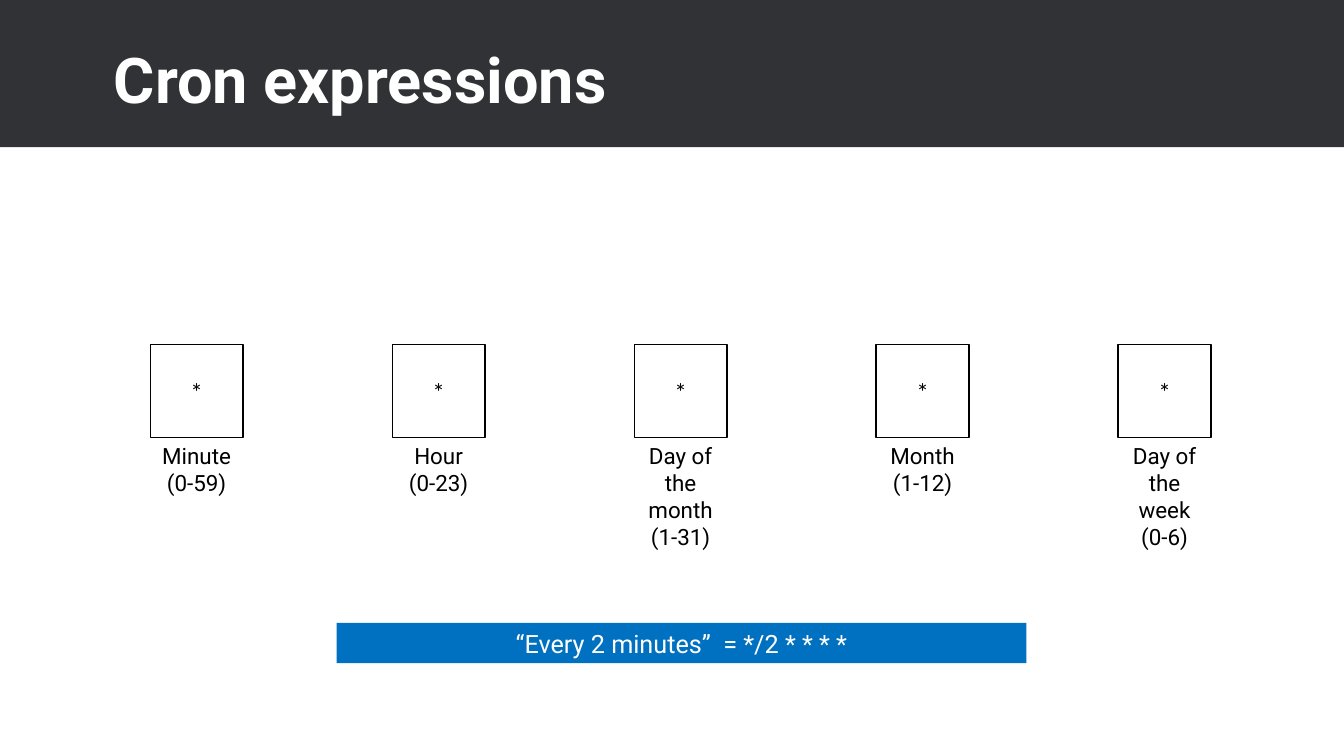
from dataclasses import dataclass

from pptx import Presentation
from pptx.dml.color import RGBColor
from pptx.enum.shapes import MSO_SHAPE as Preset
from pptx.enum.text import MSO_ANCHOR as Anchor, MSO_AUTO_SIZE as AutoSize, PP_ALIGN as Align
from pptx.util import Inches, Pt

BLACK = RGBColor(0x00, 0x00, 0x00)
WHITE = RGBColor(0xFF, 0xFF, 0xFF)
CHARCOAL = RGBColor(0x31, 0x32, 0x35)
BLUE = RGBColor(0x00, 0x70, 0xC0)

FIRST_LEFT, FIELD_STEP, FIELD_SIZE = 1.49, 2.4, 0.92
FIELD_TOP = 3.42
LABEL_TOP = FIELD_TOP + FIELD_SIZE


@dataclass(frozen=True)
class CronField:
    lines: tuple[str, ...]
    label_height: float


@dataclass(frozen=True)
class TextFormat:
    size: float
    color: RGBColor
    name: str = "Roboto"
    bold: bool = False
    align: Align = Align.CENTER
    anchor: Anchor = Anchor.TOP


FIELDS = (
    CronField(("Minute", "(0-59)"), 0.64),
    CronField(("Hour", "(0-23)"), 0.64),
    CronField(("Day of the month (1-31)",), 1.18),
    CronField(("Month (1-12)",), 0.64),
    CronField(("Day of the week (0-6)",), 1.18),
)
TITLE = TextFormat(45, WHITE, bold=True, align=Align.LEFT, anchor=Anchor.MIDDLE)
STAR = TextFormat(18, BLACK, name="Calibri", anchor=Anchor.MIDDLE)
LABEL = TextFormat(16, BLACK)
EXAMPLE = TextFormat(18, WHITE)


def write(shape, lines: tuple[str, ...], style: TextFormat) -> None:
    frame = shape.text_frame
    frame_values = {"word_wrap": True, "auto_size": AutoSize.NONE,
                    "vertical_anchor": style.anchor}
    for key, value in frame_values.items():
        setattr(frame, key, value)
    font_values = {"size": Pt(style.size), "name": style.name, "bold": style.bold}
    for index, line in enumerate(lines):
        para = frame.add_paragraph() if index else frame.paragraphs[0]
        para.alignment = style.align
        span = para.add_run()
        span.text = line
        for key, value in font_values.items():
            setattr(span.font, key, value)
        span.font.color.rgb = style.color


def add_box(page, left: float, top: float, width: float, height: float,
            fill: RGBColor | None = None, line: RGBColor | None = None):
    box = page.shapes.add_shape(
        Preset.RECTANGLE, Inches(left), Inches(top), Inches(width), Inches(height))
    box.shadow.inherit = False
    if fill is None:
        box.fill.background()
    else:
        box.fill.solid()
        box.fill.fore_color.rgb = fill
    if line is None:
        box.line.fill.background()
    else:
        box.line.color.rgb = line
        box.line.width = Pt(1)
    return box


def add_field(page, left: float, field: CronField) -> None:
    square = add_box(page, left, FIELD_TOP, FIELD_SIZE, FIELD_SIZE, line=BLACK)
    write(square, ("*",), STAR)
    label = page.shapes.add_textbox(
        Inches(left), Inches(LABEL_TOP), Inches(FIELD_SIZE), Inches(field.label_height))
    write(label, field.lines, LABEL)


def main() -> None:
    deck = Presentation()
    deck.slide_width, deck.slide_height = Inches(13.33), Inches(7.5)
    page = deck.slides.add_slide(deck.slide_layouts[5])

    # Header band behind the title
    title = page.shapes.title
    band = add_box(page, 0, 0, 13.33, 1.46, fill=CHARCOAL)
    title.element.addprevious(band.element)
    place = {"left": 1.03, "top": 0.1, "width": 11.28, "height": 1.45}
    for key, value in place.items():
        setattr(title, key, Inches(value))
    write(title, ("Cron expressions",), TITLE)
    title.text_frame.paragraphs[0].line_spacing = 0.9

    # Five cron fields with their ranges
    for index, field in enumerate(FIELDS):
        add_field(page, FIRST_LEFT + index * FIELD_STEP, field)

    # Worked example
    example = add_box(page, 3.34, 6.18, 6.84, 0.4, fill=BLUE)
    write(example, ("“Every 2 minutes”  = */2 * * * *",), EXAMPLE)

    deck.save("out.pptx")


if __name__ == "__main__":
    main()
